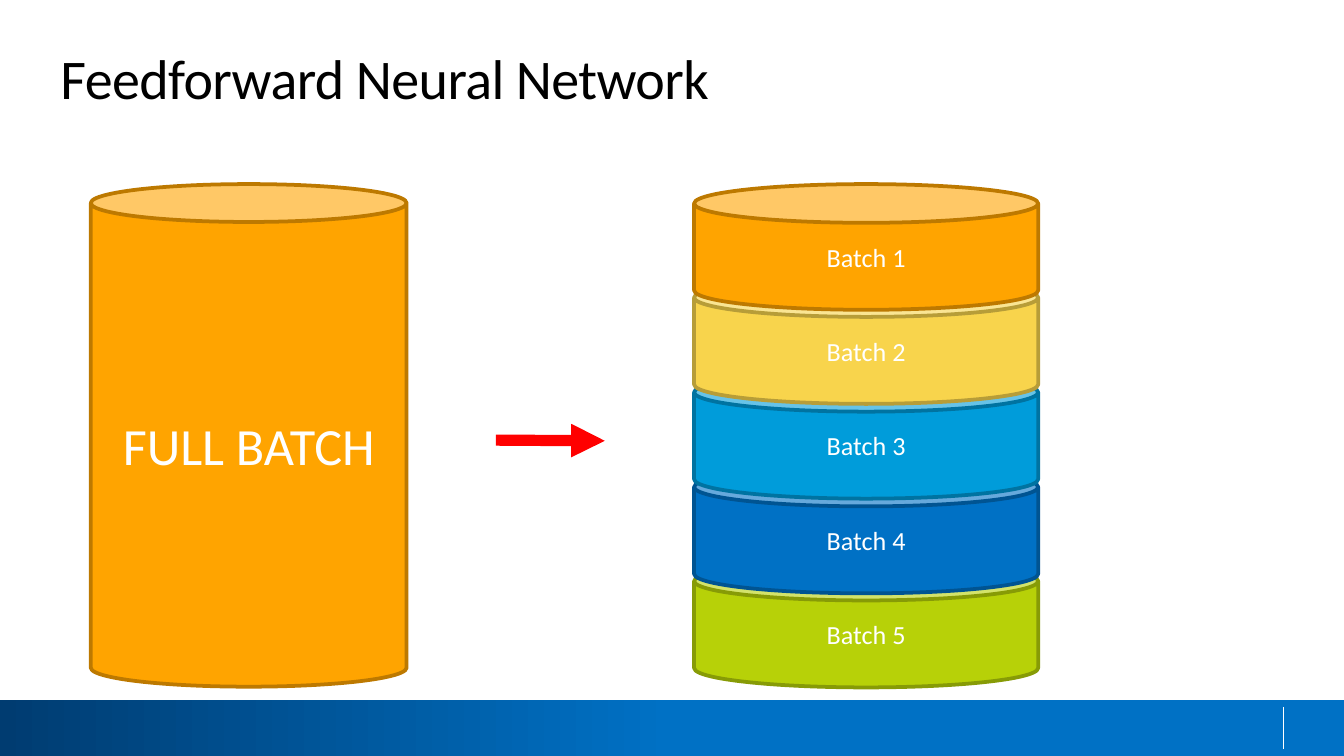
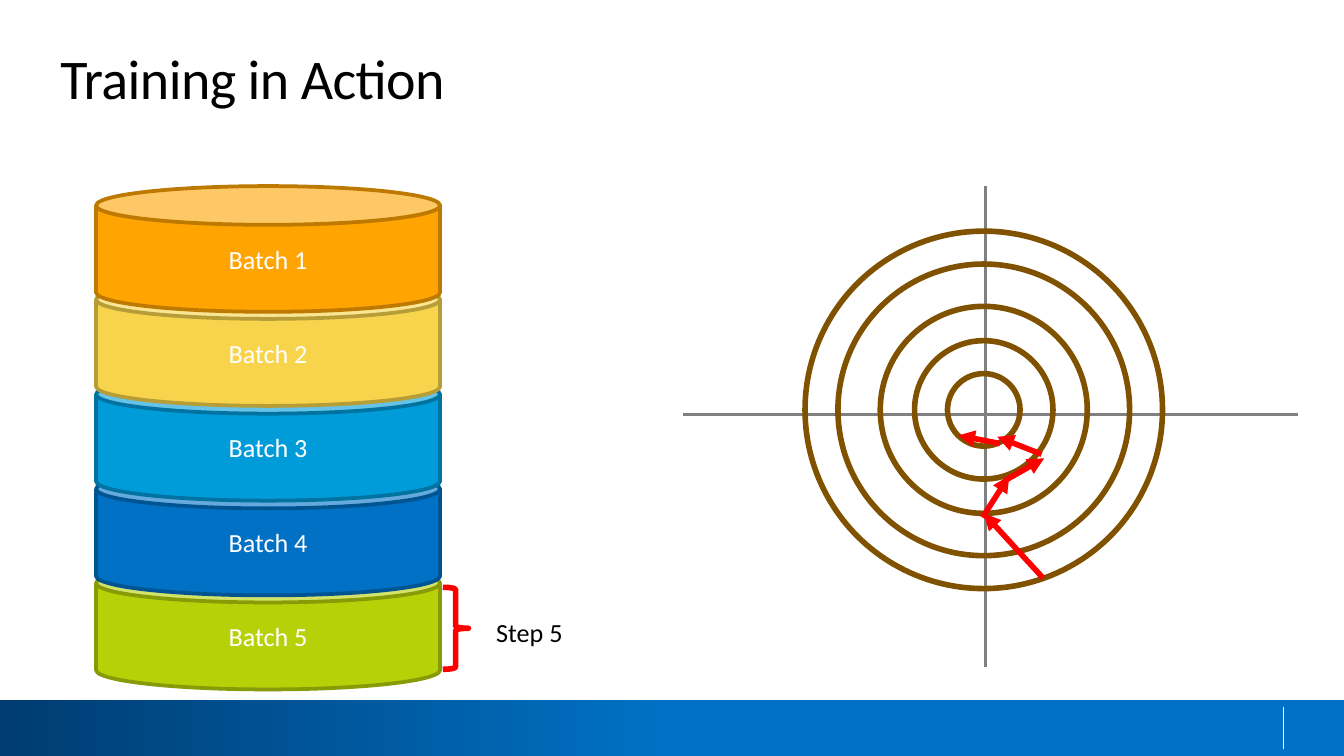
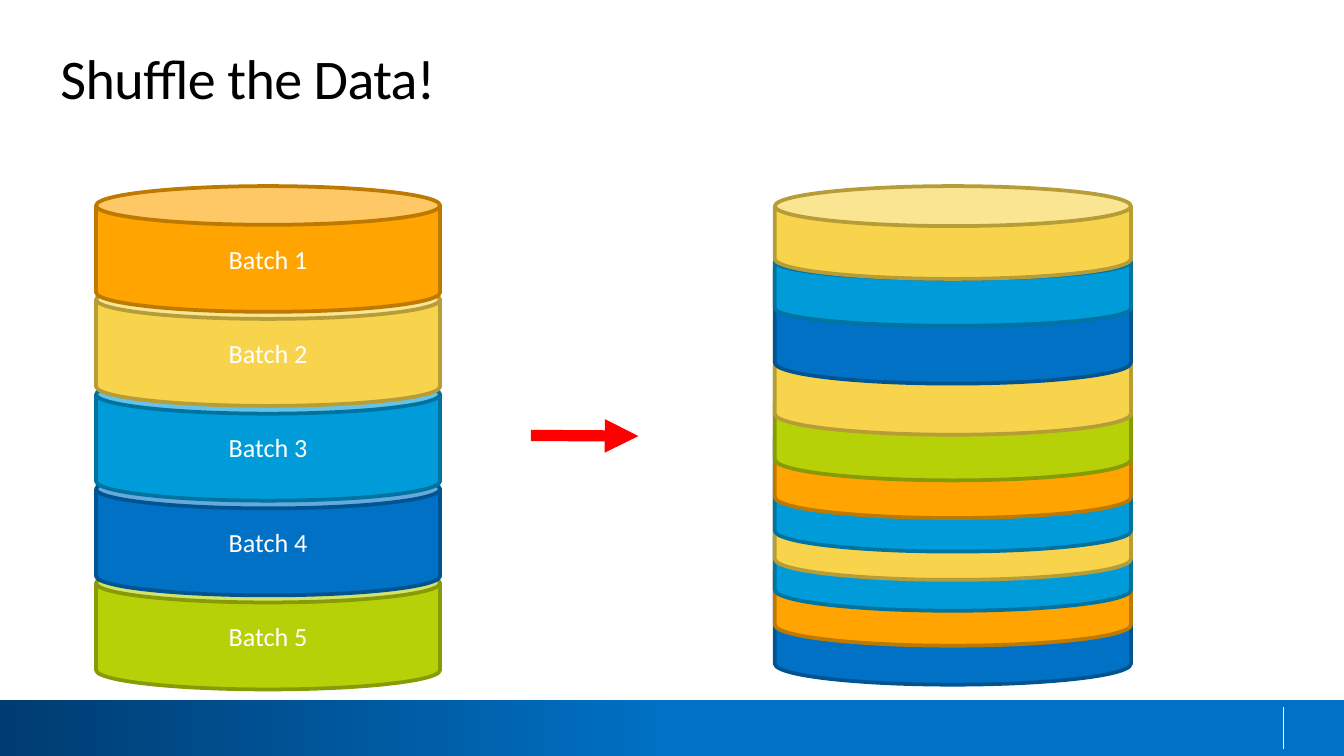
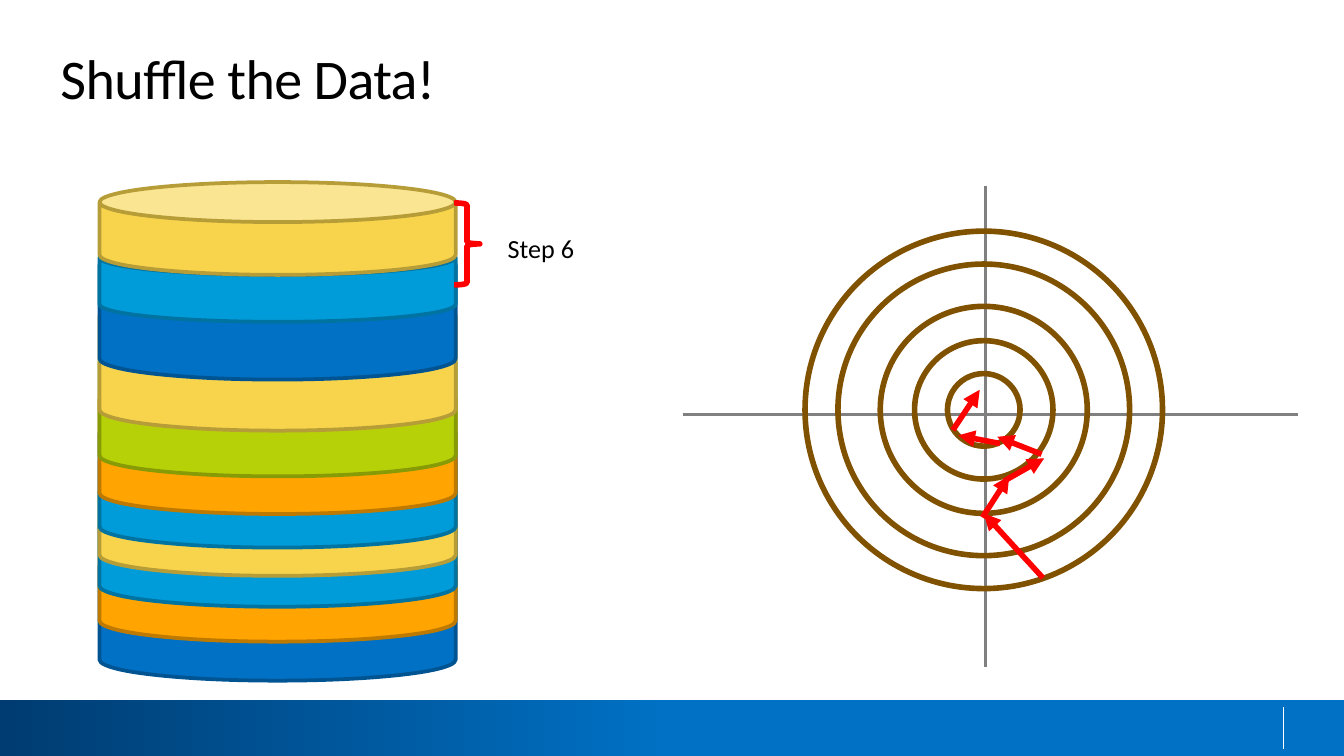
import dataclasses
import typing

import pptx
import pptx.dml.color
import pptx.enum.shapes
import pptx.enum.text
import pptx.oxml.ns
import pptx.util
from lxml import etree

PX = 4572
FONT = "Calibri"
HUES = {
    "white": "FFFFFF",
    "black": "000000",
    "navy": "003C71",
    "blue": "0071C5",
    "blue_edge": "005492",
    "sky": "009CDA",
    "sky_edge": "0073A1",
    "gold": "F8D44C",
    "gold_edge": "B79D38",
    "orange": "FFA400",
    "orange_edge": "BD7900",
    "lime": "B7D108",
    "lime_edge": "879B06",
    "gray": "808080",
    "brown": "805200",
    "red": "FF0000",
}
FORMS = pptx.enum.shapes.MSO_SHAPE
ALIGN = pptx.enum.text.PP_ALIGN
ANCHOR = pptx.enum.text.MSO_ANCHOR
GROW = pptx.enum.text.MSO_AUTO_SIZE.SHAPE_TO_FIT_TEXT


@dataclasses.dataclass
class Box:
    left: int
    top: int
    width: int
    height: int


@dataclasses.dataclass
class Slice:
    hue: str
    drop: int
    height: int = 202
    bend: float = 0.308


class Line(typing.NamedTuple):
    x1: int
    y1: int
    x2: int
    y2: int


BATCH_HUES = ["orange", "gold", "sky", "blue", "lime"]
BATCH_WIDTH = 512
BATCH_HEIGHT = 187
BATCH_STEP = 140.5

MIX_WIDTH = 530
MIX = [
    Slice("gold", 0, 138, 0.431),
    Slice("sky", 86, 122, 0.428),
    Slice("blue", 92),
    Slice("gold", 168),
    Slice("lime", 236),
    Slice("orange", 292),
    Slice("sky", 342),
    Slice("gold", 384),
    Slice("sky", 430),
    Slice("orange", 482),
    Slice("blue", 540),
]

RING_X, RING_Y = 1464, 610
RING_SIZES = [532, 434, 308, 108, 206]
AXES = [Line(1016, 617, 1932, 617), Line(1466, 277, 1466, 993)]
STEPS = [
    Line(1552, 860, 1464, 764),
    Line(1462, 770, 1502, 708),
    Line(1550, 676, 1484, 650),
    Line(1494, 716, 1554, 682),
    Line(1488, 660, 1426, 648),
]
NEXT_STEP = Line(1418, 640, 1458, 580)


def paint(hue: str) -> pptx.dml.color.RGBColor:
    return pptx.dml.color.RGBColor.from_string(HUES[hue])


def place(shape, box: Box) -> None:
    shape.left, shape.top = box.left * PX, box.top * PX
    shape.width, shape.height = box.width * PX, box.height * PX


def write(part, text: str, size: int, hue: str, align=ALIGN.CENTER):
    part.alignment = align
    run = part.add_run()
    run.text = text
    run.font.size = pptx.util.Pt(size)
    run.font.name = FONT
    run.font.color.rgb = paint(hue)
    return run


def draw_shape(shapes, form, box: Box, fill: str = "", edge: str = "",
               weight: float = 0):
    shape = shapes.add_shape(form, 0, 0, 0, 0)
    place(shape, box)
    shape.shadow.inherit = False
    if fill:
        shape.fill.solid()
        shape.fill.fore_color.rgb = paint(fill)
    else:
        shape.fill.background()
    if edge:
        shape.line.color.rgb = paint(edge)
        shape.line.width = pptx.util.Pt(weight)
    else:
        shape.line.fill.background()
    return shape


def draw_line(shapes, line: Line, hue: str, weight: float,
              arrow: bool = False):
    link = shapes.add_connector(pptx.enum.shapes.MSO_CONNECTOR.STRAIGHT,
                                *(end * PX for end in line))
    link.line.color.rgb = paint(hue)
    link.line.width = pptx.util.Pt(weight)
    props = link.element.spPr
    if arrow:
        stroke = props.find(pptx.oxml.ns.qn("a:ln"))
        etree.SubElement(stroke, pptx.oxml.ns.qn("a:tailEnd"),
                         type="triangle")
    etree.SubElement(props, pptx.oxml.ns.qn("a:effectLst"))
    return link


def draw_can(slide, box: Box, hue: str, bend: float, text: str = "",
             size: int = 14) -> None:
    can = draw_shape(slide.shapes, FORMS.CAN, box, hue, hue + "_edge", 2)
    can.adjustments[0] = bend
    if text:
        frame = can.text_frame
        frame.vertical_anchor = ANCHOR.MIDDLE
        write(frame.paragraphs[0], text, size, "white")


def draw_batches(slide, left: int, top: int) -> None:
    for rank, hue in reversed(list(enumerate(BATCH_HUES))):
        box = Box(left, top + round(rank * BATCH_STEP), BATCH_WIDTH,
                  BATCH_HEIGHT)
        draw_can(slide, box, hue, 0.308, f"Batch {rank + 1}")


def draw_mix(slide, left: int, top: int) -> None:
    for part in reversed(MIX):
        box = Box(left, top + part.drop, MIX_WIDTH, part.height)
        draw_can(slide, box, part.hue, part.bend)


def draw_target(slide, steps: list[Line]) -> None:
    group = slide.shapes.add_group_shape()
    for axis in AXES:
        draw_line(group.shapes, axis, "gray", 1.5)
    for size in RING_SIZES:
        box = Box(RING_X - size // 2, RING_Y - size // 2, size, size)
        draw_shape(group.shapes, FORMS.OVAL, box, edge="brown", weight=3)
    for step in steps:
        draw_line(slide.shapes, step, "red", 3, True)


def draw_step(slide, left: int, top: int, text: str) -> None:
    brace = draw_shape(slide.shapes, FORMS.LEFT_BRACE,
                       Box(left, top, 38, 122), edge="red", weight=3)
    brace.element.spPr.xfrm.set("flipH", "1")
    label = slide.shapes.add_textbox(0, 0, 0, 0)
    place(label, Box(left + 52, top + 34, 154, 68))
    frame = label.text_frame
    frame.word_wrap = False
    frame.auto_size = GROW
    write(frame.paragraphs[0], text, 14, "black")


def add_slide(deck, layout, text: str):
    slide = deck.slides.add_slide(layout)
    title = slide.shapes.title
    place(title, Box(88, 65, 1846, 100))
    frame = title.text_frame
    frame.margin_left = frame.margin_right = 0
    frame.margin_top = frame.margin_bottom = 0
    frame.vertical_anchor = ANCHOR.TOP
    frame.word_wrap = True
    frame.auto_size = GROW
    run = write(frame.paragraphs[0], text, 30, "black", ALIGN.LEFT)
    run.font._element.set("spc", "-30")
    frame.paragraphs[0]._p.get_or_add_pPr().set("marL", str(2 * PX))
    return slide


def add_band(slide, layout) -> None:
    band = draw_shape(slide.shapes, FORMS.RECTANGLE,
                      Box(0, 1042, 2000, 83))
    band.fill.gradient()
    band.fill.gradient_angle = 0
    stops = band.fill.gradient_stops
    for stop, spot, hue in zip(stops, (0, 0.5), ("navy", "blue")):
        stop.position = spot
        stop.color.rgb = paint(hue)
    mark = draw_line(slide.shapes, Line(1910, 1052, 1910, 1115), "white", 0.75)
    for shape in (band, mark):
        layout.shapes.element.append(shape.element)


def main() -> None:
    deck = pptx.Presentation()
    deck.slide_width, deck.slide_height = 2000 * PX, 1125 * PX
    layout = deck.slide_layouts.get_by_name("Title Only")

    slide = add_slide(deck, layout, "Feedforward Neural Network")
    add_band(slide, layout)
    draw_batches(slide, 1033, 274)
    draw_can(slide, Box(135, 274, 470, 748), "orange", 0.12, "FULL BATCH", 28)
    draw_line(slide.shapes, Line(738, 655, 900, 656), "red", 6, True)

    slide = add_slide(deck, layout, "Training in Action")
    draw_batches(slide, 143, 277)
    draw_target(slide, STEPS)
    draw_step(slide, 659, 874, "Step 5")

    slide = add_slide(deck, layout, "Shuffle the Data!")
    draw_batches(slide, 143, 277)
    draw_mix(slide, 1153, 277)
    draw_line(slide.shapes, Line(790, 648, 950, 649), "red", 6, True)

    slide = add_slide(deck, layout, "Shuffle the Data!")
    draw_mix(slide, 148, 271)
    draw_target(slide, STEPS + [NEXT_STEP])
    draw_step(slide, 676, 302, "Step 6")

    deck.save("out.pptx")


if __name__ == "__main__":
    main()
